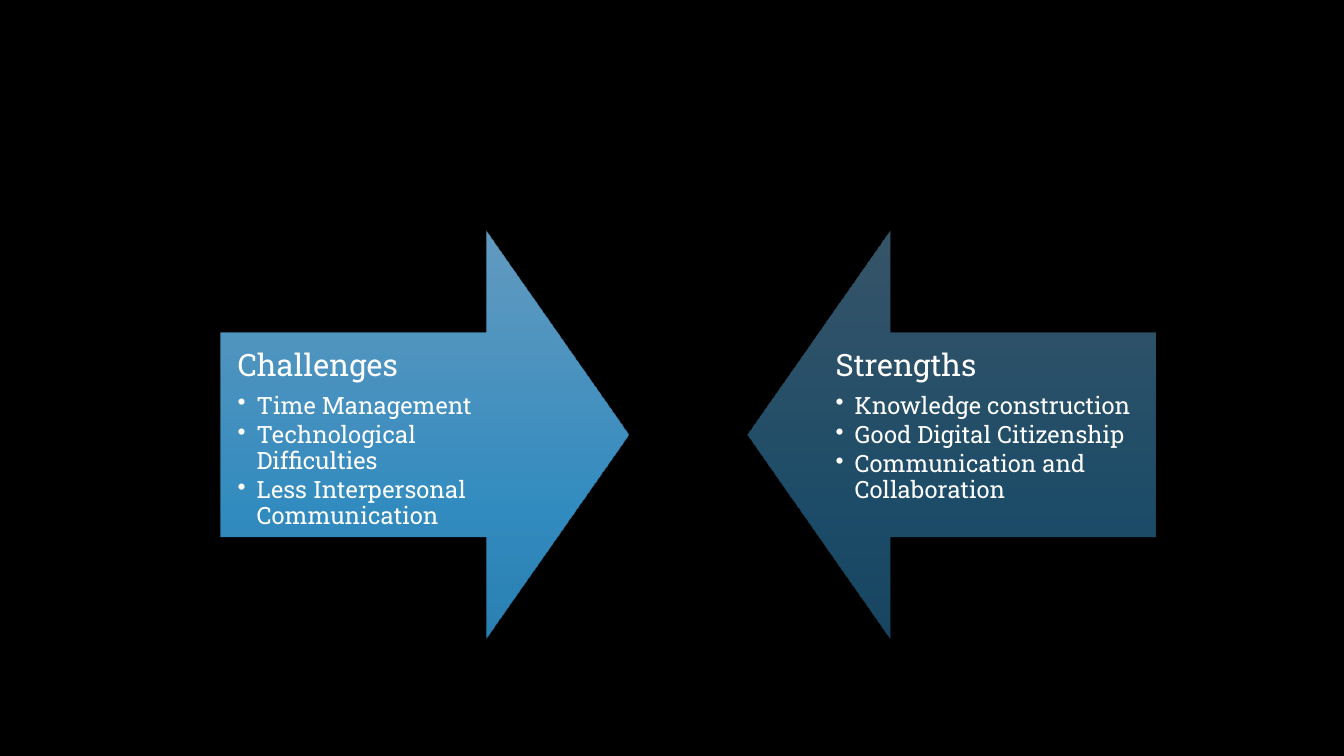
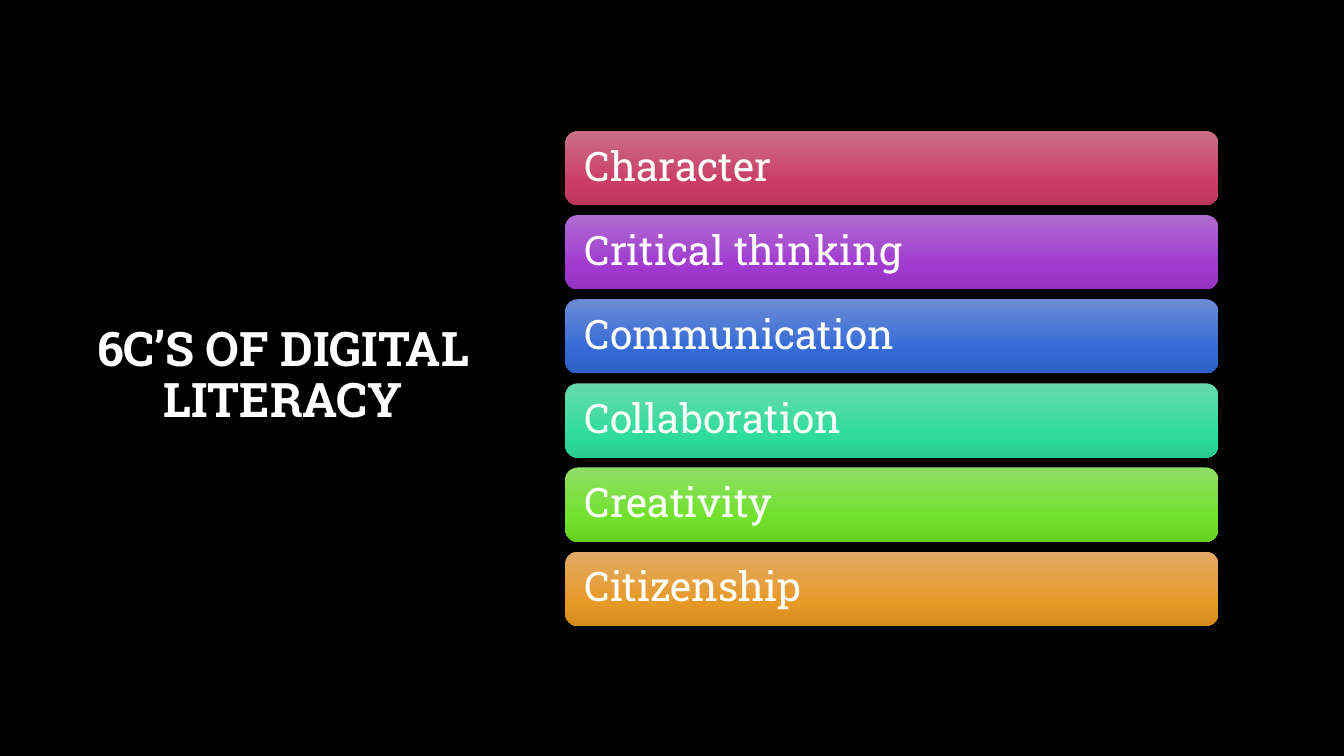
from lxml.etree import SubElement
from pptx import Presentation
from pptx.dml.color import RGBColor
from pptx.enum.shapes import MSO_SHAPE as Form
from pptx.enum.text import MSO_ANCHOR as Anchor, PP_ALIGN as Align
from pptx.oxml.ns import qn
from pptx.util import Cm, Pt

FONT = "Roboto Slab"
HUES = {"back": "000000", "text": "FFFFFF"}
# Gradient stops from top to bottom
FADES = {
    "steel": ("6DAAD2", "3799D2", "2F8CC2"),
    "red": ("CC7087", "CA3D66", "BA355B"),
    "violet": ("AF6DD1", "A139D0", "9331C0"),
    "blue": ("6B8BD5", "346AD6", "2C60C5"),
    "mint": ("69DAAD", "2FDC9E", "28CB90"),
    "green": ("8FDE67", "71E22B", "66D023"),
    "gold": ("E2AA66", "E79926", "D68B1F"),
}
STOPS = (0, 69, 100)


def write(frame, text, size=17, bold=False, align=Align.LEFT, after=0, bullet=False):
    """Add one paragraph, filling the empty first one if there is one."""
    para = frame.paragraphs[0]
    if para.runs:
        para = frame.add_paragraph()
    para.alignment = align
    para.line_spacing = 0.9
    para.space_after = Pt(after)
    run = para.add_run()
    run.text = text
    font = run.font
    font.name, font.size, font.bold = FONT, Pt(size), bold
    font.color.rgb = RGBColor.from_string(HUES["text"])
    if bullet:
        props = para._p.get_or_add_pPr()
        props.set("marL", str(Cm(0.48)))
        props.set("indent", str(-Cm(0.48)))
        SubElement(props, qn("a:buChar"), char="•")


class Deck:
    def __init__(self):
        self.file = Presentation()
        self.file.slide_width = Cm(33.87)
        self.file.slide_height = Cm(19.05)
        self.slide = None

    def page(self):
        self.slide = self.file.slides.add_slide(self.file.slide_layouts[6])
        fill = self.slide.background.fill
        fill.solid()
        fill.fore_color.rgb = RGBColor.from_string(HUES["back"])

    def setup(self, frame, anchor, side, edge):
        frame.word_wrap = True
        frame.vertical_anchor = anchor
        frame.margin_left = frame.margin_right = Cm(side)
        frame.margin_top = frame.margin_bottom = Cm(edge)
        return frame

    def box(self, x, y, w, h, anchor=Anchor.TOP, side=0.43, edge=0.43):
        box = self.slide.shapes.add_textbox(Cm(x), Cm(y), Cm(w), Cm(h))
        return self.setup(box.text_frame, anchor, side, edge)

    def shape(self, form, x, y, w, h, fade, alpha=100):
        shape = self.slide.shapes.add_shape(form, Cm(x), Cm(y), Cm(w), Cm(h))
        shape.shadow.inherit = False
        shape.line.fill.background()
        shape.fill.gradient()
        shape.fill.gradient_angle = 270
        stops = shape.element.spPr.find(".//" + qn("a:gsLst"))
        stops.clear()
        for pos, hue in zip(STOPS, FADES[fade]):
            stop = SubElement(stops, qn("a:gs"), pos=str(pos * 1000))
            tint = SubElement(stop, qn("a:srgbClr"), val=hue)
            if alpha < 100:
                SubElement(tint, qn("a:alpha"), val=str(alpha * 1000))
        return shape

    def arrow(self, form, x, alpha, text_x, head, items):
        arrow = self.shape(form, x, 5.82, 10.27, 10.27, "steel", alpha)
        arrow.adjustments[0], arrow.adjustments[1] = 0.5, 0.35
        frame = self.box(text_x, 8.38, 8.46, 5.13)
        write(frame, head, size=22, after=7.7)
        for item in items:
            write(frame, item, after=2.55, bullet=True)

    def title(self, text):
        frame = self.box(2.08, 1.7, 10.11, 15.57, Anchor.MIDDLE, 0.25, 0.13)
        write(frame, text, size=34, bold=True, align=Align.CENTER)

    def bars(self, rows):
        high, gap = 1.87, 0.25
        for i, (text, fade) in enumerate(rows):
            y = 3.3 + i * (high + gap)
            bar = self.shape(Form.ROUNDED_RECTANGLE, 14.25, y, 16.45, high, fade)
            write(self.setup(bar.text_frame, Anchor.MIDDLE, 0.39, 0.3), text, size=29)


def main():
    deck = Deck()

    # Two facing arrows
    deck.page()
    deck.arrow(Form.RIGHT_ARROW, 5.56, 90, 5.56, "Challenges", (
        "Time Management",
        "Technological Difficulties",
        "Less Interpersonal Communication",
    ))
    deck.arrow(Form.LEFT_ARROW, 18.85, 50, 20.63, "Strengths", (
        "Knowledge construction",
        "Good Digital Citizenship",
        "Communication and Collaboration",
    ))

    # Title and six bars
    deck.page()
    deck.title("6C’S OF DIGITAL LITERACY")
    deck.bars((
        ("Character", "red"),
        ("Critical thinking", "violet"),
        ("Communication", "blue"),
        ("Collaboration", "mint"),
        ("Creativity", "green"),
        ("Citizenship", "gold"),
    ))

    deck.file.save("out.pptx")


if __name__ == "__main__":
    main()
